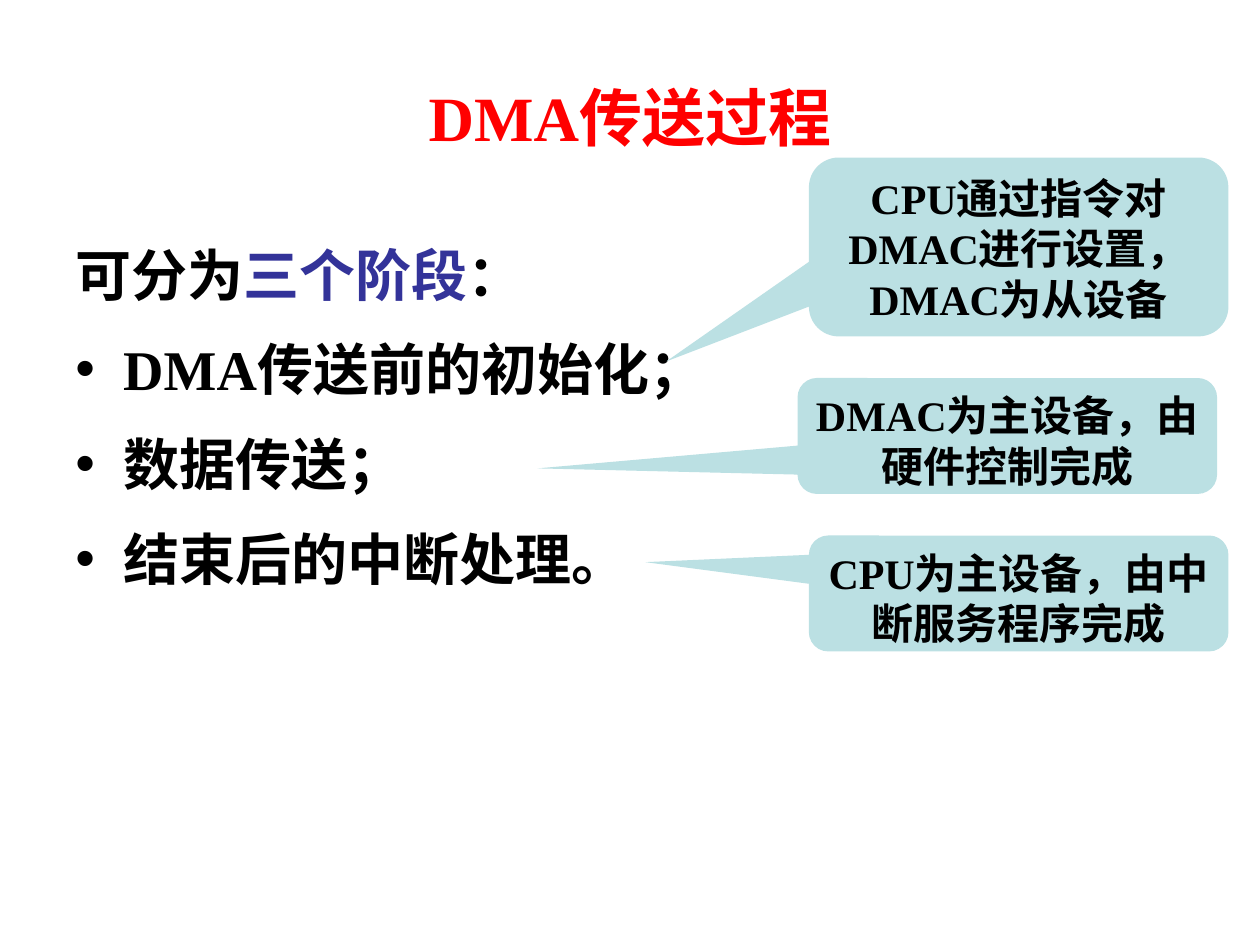
from dataclasses import dataclass

from lxml import etree
from pptx import Presentation
from pptx import util as u
from pptx.dml.color import RGBColor
from pptx.enum import shapes, text
from pptx.oxml.ns import qn


@dataclass(frozen=True)
class Theme:
    black: RGBColor = RGBColor(0x00, 0x00, 0x00)
    red: RGBColor = RGBColor(0xFF, 0x00, 0x00)
    indigo: RGBColor = RGBColor(0x33, 0x33, 0x99)
    pale_teal: RGBColor = RGBColor(0xBB, 0xE0, 0xE3)
    serif: str = "Times New Roman"
    sans: str = "Arial"
    title_size: int = 36
    body_size: int = 32
    callout_size: int = 24


theme = Theme()


def style(para, size, color=theme.black, name=theme.serif):
    para.font.size = u.Pt(size)
    para.font.name = name
    para.font.bold = True
    para.font.color.rgb = color


def set_hanging(para, bullet=None):
    """Give the paragraph a hanging indent, with a bullet if one is named."""
    properties = para._p.get_or_add_pPr()
    properties.set("marL", str(u.Inches(0.38)))
    properties.set("indent", str(-u.Inches(0.38)))
    if bullet:
        bullet_color = etree.SubElement(properties, qn("a:buClr"))
        etree.SubElement(bullet_color, qn("a:srgbClr"), val=str(theme.black))
        etree.SubElement(properties, qn("a:buFont"), typeface=theme.sans)
        etree.SubElement(properties, qn("a:buChar"), char=bullet)
    else:
        etree.SubElement(properties, qn("a:buNone"))


deck = Presentation()
deck.slide_width, deck.slide_height = u.Inches(10), u.Inches(7.5)
page = deck.slides.add_slide(deck.slide_layouts.get_by_name("Title Only"))

# Title
title = page.shapes.title
title.left, title.top = u.Inches(0.5), u.Inches(0.3)
title.width, title.height = u.Inches(9), u.Inches(1.25)
title.text_frame.text = "DMA传送过程"
title.text_frame.auto_size = text.MSO_AUTO_SIZE.NONE
title.text_frame.vertical_anchor = text.MSO_ANCHOR.MIDDLE
title_para = title.text_frame.paragraphs[0]
title_para.alignment = text.PP_ALIGN.CENTER
style(title_para, theme.title_size, theme.red)

# Introduction and the three stages
body = page.shapes.add_textbox(u.Inches(0.5), u.Inches(1.75), u.Inches(9), u.Inches(4.95))
frame = body.text_frame
frame.word_wrap = True
intro = frame.paragraphs[0]
intro.line_spacing = 1.2
set_hanging(intro)
style(intro, theme.body_size, name=theme.sans)
for words, color in [("可分为", theme.black), ("三个阶段", theme.indigo), ("：", theme.black)]:
    span = intro.add_run()
    span.text = words
    span.font.color.rgb = color

for stage in ["DMA传送前的初始化；", "数据传送；", "结束后的中断处理。"]:
    para = frame.add_paragraph()
    para.text = stage
    para.line_spacing = 1.2
    para.space_before = u.Pt(8)
    set_hanging(para, "•")
    style(para, theme.body_size)

# Callouts: left, top, height, pointer offset as a share of width and height
callouts = [
    (6.42, 1.25, 1.42, (-0.84, 0.64), "CPU通过指令对DMAC进行设置，DMAC为从设备"),
    (6.33, 3, 0.92, (-1.12, 0.28), "DMAC为主设备，由硬件控制完成"),
    (6.42, 4.25, 0.92, (-0.89, -0.27), "CPU为主设备，由中断服务程序完成"),
]
for left, top, height, pointer, words in callouts:
    callout = page.shapes.add_shape(
        shapes.MSO_SHAPE.ROUNDED_RECTANGULAR_CALLOUT,
        u.Inches(left), u.Inches(top), u.Inches(3.33), u.Inches(height))
    callout.adjustments[0], callout.adjustments[1] = pointer
    callout.shadow.inherit = False
    callout.fill.solid()
    callout.fill.fore_color.rgb = theme.pale_teal
    callout.line.fill.background()
    callout.text_frame.word_wrap = True
    callout.text_frame.vertical_anchor = text.MSO_ANCHOR.TOP
    para = callout.text_frame.paragraphs[0]
    para.text = words
    para.alignment = text.PP_ALIGN.CENTER
    style(para, theme.callout_size)

deck.save("out.pptx")
